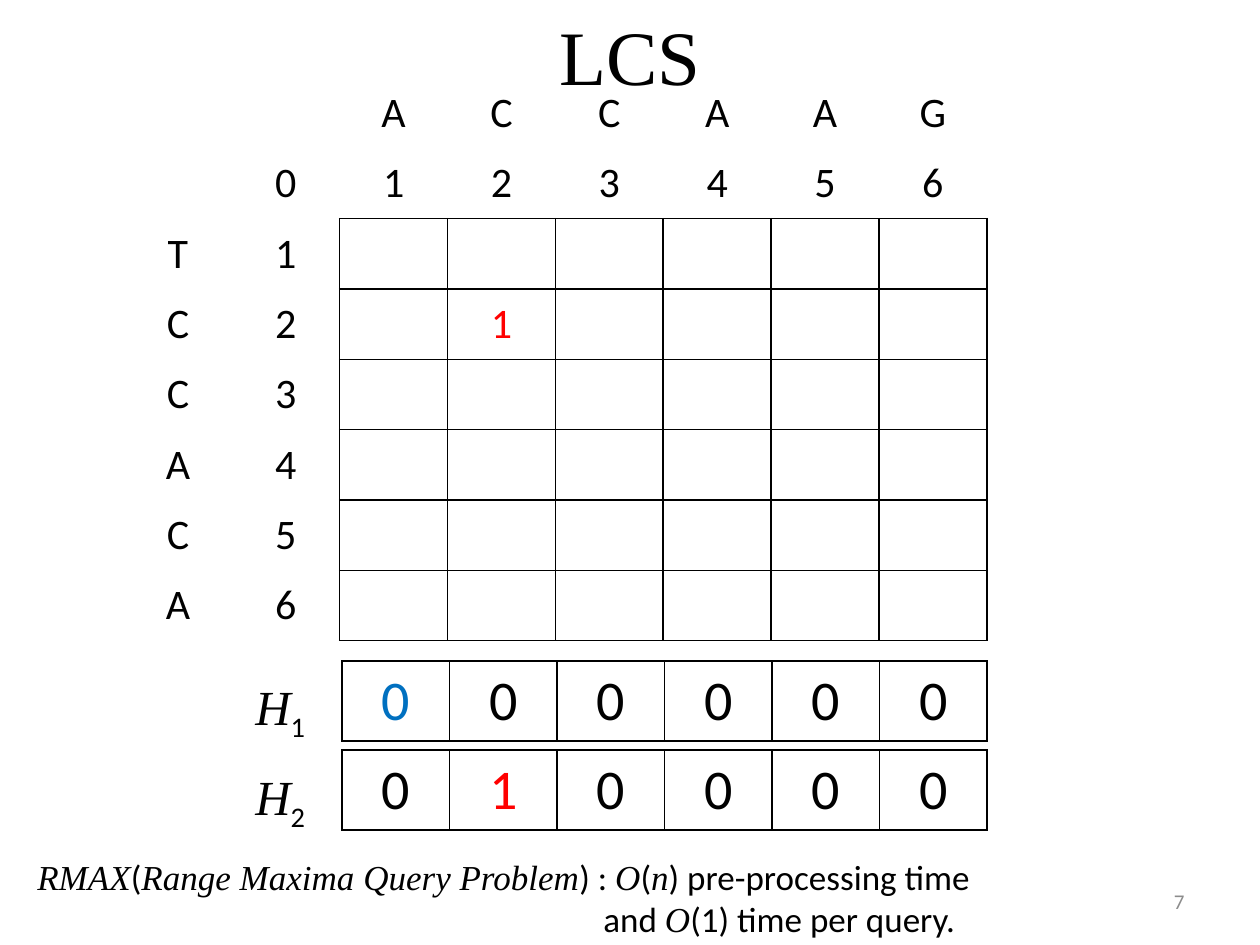
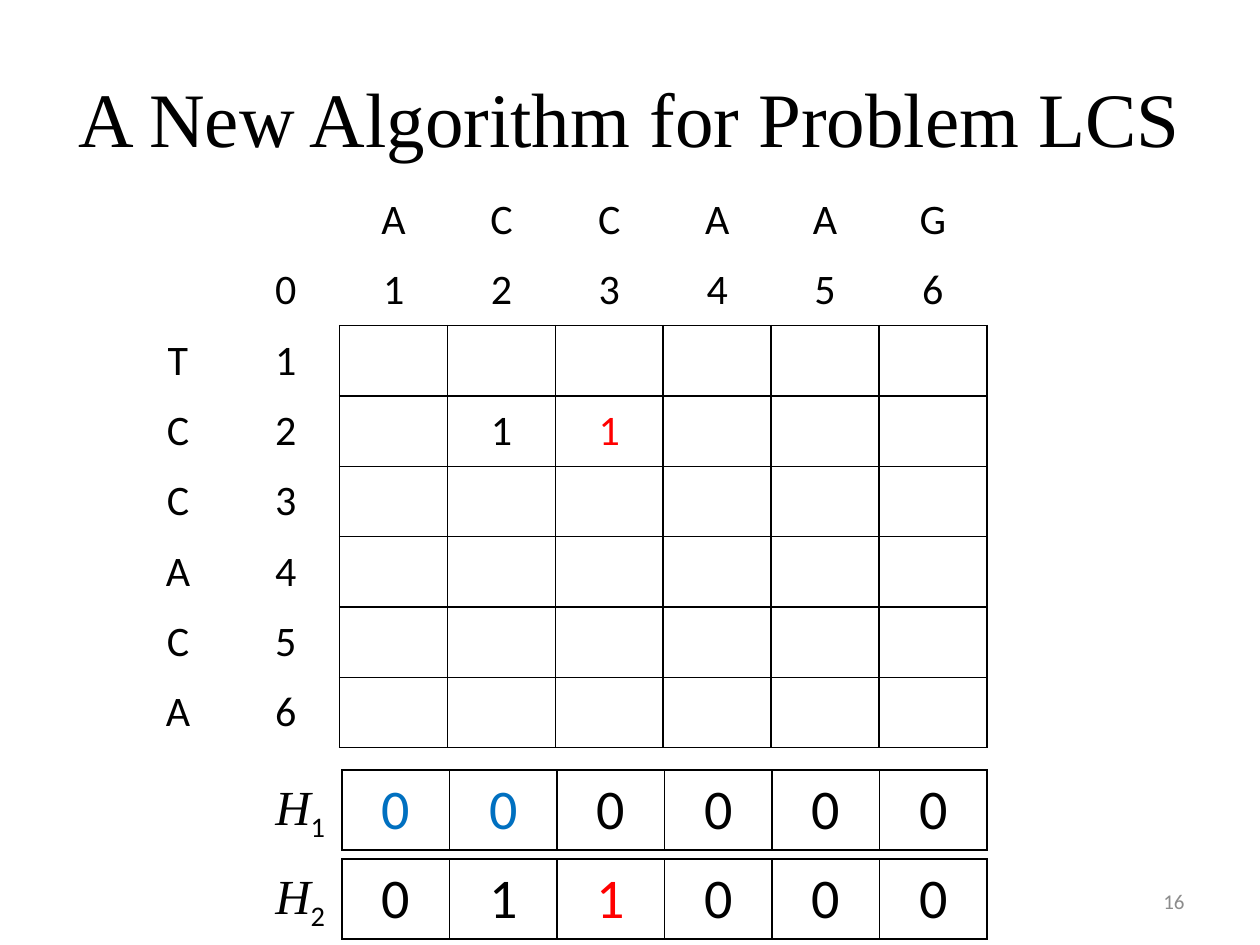
import pptx
import pptx.util
import pptx.dml.color
import pptx.enum.text
import pptx.oxml.ns
import lxml.etree

BLACK = pptx.dml.color.RGBColor(0x00, 0x00, 0x00)
WHITE = pptx.dml.color.RGBColor(0xFF, 0xFF, 0xFF)
RED = pptx.dml.color.RGBColor(0xFF, 0x00, 0x00)
BLUE = pptx.dml.color.RGBColor(0x00, 0x70, 0xC0)
GRAY = pptx.dml.color.RGBColor(0x8C, 0x8C, 0x8C)

SERIF, SANS = "Times New Roman", "Calibri"
TITLE = {"name": SERIF, "size": pptx.util.Pt(44)}
GRID = {"name": SANS, "size": pptx.util.Pt(24)}
ARRAY = {"name": SANS, "size": pptx.util.Pt(32)}
LABEL = {"name": SERIF, "size": pptx.util.Pt(28), "italic": True}
SUBSCRIPT = {"name": SANS, "size": pptx.util.Pt(28)}
NOTE = {"name": SANS, "size": pptx.util.Pt(20)}
NOTE_MATH = {"name": SERIF, "size": pptx.util.Pt(20), "italic": True}
FOOTER = {"name": SANS, "size": pptx.util.Pt(12)}

LEFT, CENTER, RIGHT = (pptx.enum.text.PP_ALIGN.LEFT, pptx.enum.text.PP_ALIGN.CENTER,
                       pptx.enum.text.PP_ALIGN.RIGHT)
MIDDLE, TOP = pptx.enum.text.MSO_ANCHOR.MIDDLE, pptx.enum.text.MSO_ANCHOR.TOP
PX = 914400 / 126

COLUMN_WORD, ROW_WORD = "ACCAAG", "TCCACA"
SIDES = ("lnL", "lnR", "lnT", "lnB")


def add_text(page, left, top, width, height, lines, align=LEFT, anchor=TOP, color=BLACK):
    """Add a text box; each line is a list of (text, format) spans."""
    box = page.shapes.add_textbox(*[round(n * PX) for n in (left, top, width, height)])
    frame = box.text_frame
    frame.word_wrap = True
    frame.vertical_anchor = anchor
    for number, line in enumerate(lines):
        para = frame.add_paragraph() if number else frame.paragraphs[0]
        para.alignment = align
        for text, style in line:
            span = para.add_run()
            span.text = text
            for key, value in style.items():
                setattr(span.font, key, value)
            span.font.color.rgb = color
            if style is SUBSCRIPT:
                span._r.get_or_add_rPr().set("baseline", "-25000")
    return box


def add_table(page, left, top, width, height, rows, style, colors, headers=0):
    """Add a table of bordered cells; the first `headers` rows and columns have no frame."""
    row_count, column_count = len(rows), len(rows[0])
    table = page.shapes.add_table(row_count, column_count, *[
        round(n * PX) for n in (left, top, width, height)]).table
    table.first_row = table.horz_banding = False
    for column in table.columns:
        column.width = round(width * PX / column_count)
    for row in table.rows:
        row.height = round(height * PX / row_count)
    for r, c in ((r, c) for r in range(row_count) for c in range(column_count)):
        cell = table.cell(r, c)
        cell.vertical_anchor = MIDDLE
        inside = r >= headers and c >= headers
        if inside:
            cell.fill.solid()
            cell.fill.fore_color.rgb = WHITE
        else:
            cell.fill.background()
        if rows[r][c]:
            para = cell.text_frame.paragraphs[0]
            para.alignment = CENTER
            span = para.add_run()
            span.text = rows[r][c]
            for key, value in style.items():
                setattr(span.font, key, value)
            span.font.color.rgb = colors.get((r, c), BLACK)
        framed = set(SIDES) if inside else set()
        if r >= headers and c == headers - 1:
            framed.add("lnR")
        if c >= headers and r == headers - 1:
            framed.add("lnB")
        properties = cell._tc.get_or_add_tcPr()
        for position, side in enumerate(SIDES):
            line = lxml.etree.Element(pptx.oxml.ns.qn("a:" + side), w="12700")
            properties.insert(position, line)
            if side in framed:
                fill = lxml.etree.SubElement(line, pptx.oxml.ns.qn("a:solidFill"))
                lxml.etree.SubElement(fill, pptx.oxml.ns.qn("a:srgbClr"), val=str(BLACK))
            else:
                lxml.etree.SubElement(line, pptx.oxml.ns.qn("a:noFill"))


# Matches map (row, column) in the grid; arrays give top, label left, label top, values, colours.
steps = [
    {"title": "LCS", "title_top": -24, "number": "7", "grid_top": 78,
     "matches": {(2, 2): RED},
     "arrays": [(661, 243, 670, "000000", {(0, 0): BLUE}),
                (750, 243, 760, "010000", {(0, 1): RED})]},
    {"title": "A New Algorithm for Problem LCS", "title_top": 38, "number": "16", "grid_top": 185,
     "matches": {(2, 2): BLACK, (2, 3): RED},
     "arrays": [(770, 263, 770, "000000", {(0, 0): BLUE, (0, 1): BLUE}),
                (859, 263, 859, "011000", {(0, 2): RED})]},
]

deck = pptx.Presentation()
deck.slide_width, deck.slide_height = round(1260 * PX), round(945 * PX)

for step in steps:
    page = deck.slides.add_slide(deck.slide_layouts[6])
    add_text(page, 63, step["title_top"], 1134, 158, [[(step["title"], TITLE)]], CENTER, MIDDLE)
    add_text(page, 903, 876, 294, 50, [[(step["number"], FOOTER)]], RIGHT, MIDDLE, GRAY)

    grid = [["", "", *COLUMN_WORD], ["", *"0123456"]]
    for number, letter in enumerate(ROW_WORD, 1):
        matches = ["1" if (number, column) in step["matches"] else ""
                   for column in range(1, len(COLUMN_WORD) + 1)]
        grid.append([letter, str(number), *matches])
    colors = {(row + 1, column + 1): color for (row, column), color in step["matches"].items()}
    add_table(page, 124, step["grid_top"], 863, 563, grid, GRID, colors, headers=2)

    for index, (top, label_left, label_top, values, colors) in enumerate(step["arrays"], 1):
        add_table(page, 342, top, 645, 80, [values], ARRAY, colors)
        add_text(page, label_left, label_top, 84, 72, [[("H", LABEL), (str(index), SUBSCRIPT)]])

note = add_text(deck.slides[0], 25, 849, 980, 97, [
    [("RMAX", NOTE_MATH), ("(", NOTE), ("Range Maxima Query Problem", NOTE_MATH), (") : ", NOTE),
     ("O", NOTE_MATH), ("(", NOTE), ("n", NOTE_MATH), (") pre-processing time", NOTE)],
    [("and ", NOTE), ("O", NOTE_MATH), ("(1) time per query.", NOTE)],
])
note.text_frame.paragraphs[1]._p.get_or_add_pPr().set("marL", str(round(566 * PX)))

deck.save("out.pptx")
